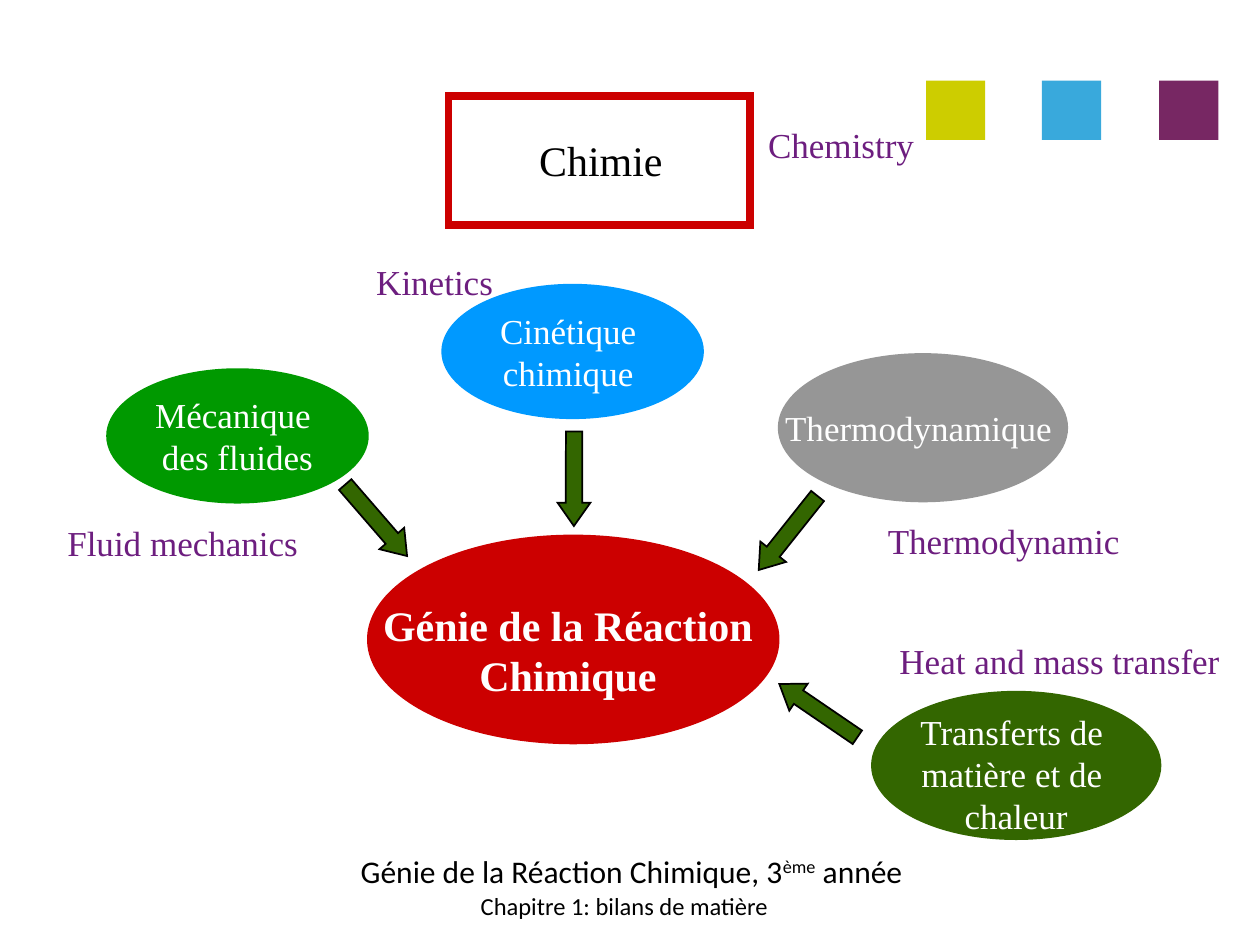
from lxml import etree
from pptx import Presentation
from pptx.dml.color import RGBColor
from pptx.enum.shapes import MSO_SHAPE as Kind
from pptx.enum.text import MSO_ANCHOR as Anchor, PP_ALIGN as Align
from pptx.oxml.ns import qn
from pptx.util import Inches, Pt

SERIF, SANS = "Times New Roman", "Calibri"
WHITE, BLACK, RED, GREEN, PURPLE = "FFFFFF", "000000", "CC0000", "336600", "6D1E7F"

# left, colour
SQUARES = [(7.35, "CDCD00"), (8.27, "39A9DC"), (9.2, "772763")]

# box, colour, lines, size, bold, extra inset above the text
FIELDS = [
    ((2.92, 4.25, 3.26, 1.65), RED, ["Génie de la Réaction ", "Chimique "], 24, True, 0.16),
    ((0.85, 2.93, 2.07, 1.06), "009900", ["Mécanique ", "des fluides"], 20, False, 0),
    ((3.51, 2.26, 2.07, 1.06), "0099FF", ["Cinétique ", "chimique "], 20, False, 0),
    ((6.18, 2.81, 2.29, 1.17), "969696", ["Thermodynamique "], 20, False, 0),
    ((6.92, 5.49, 2.29, 1.17), GREEN,
     ["Transferts de ", "matière et de ", "chaleur"], 20, False, 0.13),
]

# left, top, rotation
ARROWS = [(2.61, 4, 49.1), (4.18, 3.67, 90.1), (5.88, 4.1, 128.5), (6.12, 5.51, 214.3)]

# left, top, width, text
LABELS = [
    (0.43, 4.09, 2.11, "Fluid mechanics "),
    (2.88, 2.02, 1.14, "Kinetics"),
    (5.97, 0.93, 1.48, "Chemistry "),
    (6.94, 4.07, 2.12, "Thermodynamic "),
    (7.03, 5.03, 2.83, "Heat and mass transfer "),
]

deck = Presentation()
deck.slide_width, deck.slide_height = Inches(10), Inches(7.5)
slide = deck.slides.add_slide(deck.slide_layouts[6])


def rgb(color):
    return RGBColor.from_string(color)


def draw(kind, box, fill, line=None, width=1):
    """Add a filled shape; its outline, if any, has sharp corners."""
    shape = slide.shapes.add_shape(kind, *map(Inches, box))
    shape.shadow.inherit = False
    shape.fill.solid()
    shape.fill.fore_color.rgb = rgb(fill)
    if line:
        shape.line.color.rgb = rgb(line)
        shape.line.width = Pt(width)
        etree.SubElement(shape.line._ln, qn("a:miter"), lim="800000")
    else:
        shape.line.fill.background()
    return shape


def write(shape, lines, size, color, face=SERIF, bold=False,
          align=Align.CENTER, anchor=Anchor.TOP):
    """Fill the shape with one paragraph per line, each a list of runs or a string."""
    frame = shape.text_frame
    frame.word_wrap = False
    frame.vertical_anchor = anchor
    for i, line in enumerate(lines):
        para = frame.add_paragraph() if i else frame.paragraphs[0]
        para.alignment = align
        font = para.font
        font.size, font.name, font.bold = Pt(size), face, bold
        font.color.rgb = rgb(color)
        for part in [line] if isinstance(line, str) else line:
            para.add_run().text = part
    return frame


def label(box, line, *args, **style):
    return write(slide.shapes.add_textbox(*map(Inches, box)), [line], *args, **style)


title = label((2.54, 6.66, 5, 0.5),
              ["Génie de la Réaction Chimique, 3", "ème", " année "],
              18, BLACK, SANS, anchor=Anchor.MIDDLE).paragraphs[0]
title.runs[1].font._element.set("baseline", "30000")
label((3.6, 6.94, 2.8, 0.5), "Chapitre 1: bilans de matière  ", 14, BLACK, SANS,
      anchor=Anchor.MIDDLE)

for left, color in SQUARES:
    draw(Kind.RECTANGLE, (left, 0.64, 0.47, 0.47), color)

for box, color, lines, size, bold, extra in FIELDS:
    oval = draw(Kind.OVAL, box, color, color)
    frame = write(oval, lines, size, WHITE, bold=bold, anchor=Anchor.MIDDLE)
    frame.margin_top = Inches(0.05 + extra)

for left, top, angle in ARROWS:
    arrow = draw(Kind.RIGHT_ARROW, (left, top, 0.75, 0.26), GREEN, BLACK)
    arrow.rotation = angle
    arrow.adjustments[1] = 0.71

draw(Kind.RECTANGLE, (3.56, 0.76, 2.39, 1.03), WHITE, RED, 4.5)
label((4.18, 1.02, 1.26, 0.5), "Chimie", 24, BLACK, align=Align.LEFT)

for left, top, width, line in LABELS:
    label((left, top, width, 0.44), line, 20, PURPLE)

deck.save("out.pptx")
